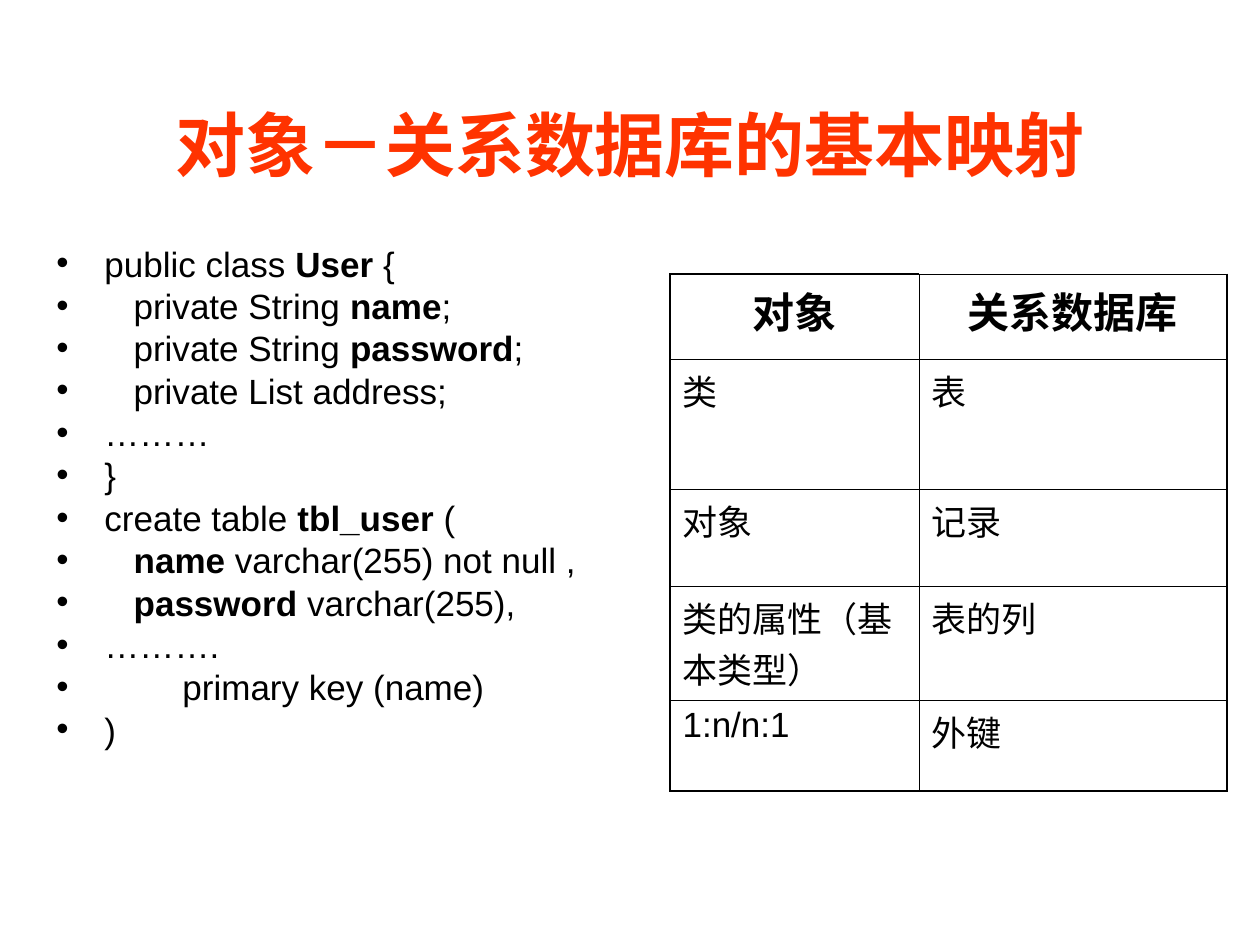
from lxml.etree import SubElement
from pptx import Presentation
from pptx.dml.color import RGBColor
from pptx.enum.text import MSO_ANCHOR as Anchor, PP_ALIGN as Align
from pptx.oxml import parse_xml
from pptx.oxml.ns import nsdecls, qn
from pptx.util import Emu, Pt

EMU_PER_PX = 914400 // 126
BLACK = "000000"
TITLE_RED = "FF3300"
THIN, THICK = 0.45, 1.08

CODE_LINES = [
    "public class **User** {",
    "   private String **name**;",
    "   private String **password**;",
    "   private List address;",
    "………",
    "}",
    "create table **tbl_user** (",
    "   **name** varchar(255) not null ,",
    "   **password** varchar(255),",
    "……….",
    "\tprimary key (name)",
    ")",
]
MAPPING = [
    ("对象", "关系数据库"),
    ("类", "表"),
    ("对象", "记录"),
    ("类的属性（基本类型）", "表的列"),
    ("1:n/n:1", "外键"),
]
COLUMN_WIDTHS = [249, 308]
ROW_HEIGHTS = [85, 130, 97, 114, 91]


def px(length):
    return Emu(length * EMU_PER_PX)


def color(hex_string):
    return RGBColor.from_string(hex_string)


def format_run(run, size, hex_string=BLACK, bold=False):
    run.font.name = "Arial"
    run.font.size = Pt(size)
    run.font.bold = bold
    run.font.color.rgb = color(hex_string)


def add_text_frame(slide, box):
    text_frame = slide.shapes.add_textbox(*map(px, box)).text_frame
    text_frame.word_wrap = True
    return text_frame


def add_title(slide, box, text):
    text_frame = add_text_frame(slide, box)
    text_frame.vertical_anchor = Anchor.MIDDLE
    text_frame.text = text
    paragraph = text_frame.paragraphs[0]
    paragraph.alignment = Align.CENTER
    format_run(paragraph.runs[0], 40, TITLE_RED, True)


def set_bullet_and_tab(paragraph, indent, tab):
    properties = paragraph._p.get_or_add_pPr()
    properties.set("marL", str(px(indent)))
    properties.set("indent", str(-px(indent)))
    SubElement(properties, qn("a:buFont"), typeface="Arial")
    SubElement(properties, qn("a:buChar"), char="•")
    tabs = SubElement(properties, qn("a:tabLst"))
    SubElement(tabs, qn("a:tab"), pos=str(px(tab)), algn="l")


def add_code_list(slide, box, lines):
    text_frame = add_text_frame(slide, box)
    for index, line in enumerate(lines):
        paragraph = text_frame.add_paragraph() if index else text_frame.paragraphs[0]
        set_bullet_and_tab(paragraph, 48, 126)
        paragraph.line_spacing = 0.8
        if index:
            paragraph.space_before = Pt(5)
        for part, text in enumerate(line.split("**")):
            if text:
                run = paragraph.add_run()
                run.text = text
                format_run(run, 20, bold=part % 2 == 1)


def set_borders(cell, widths):
    properties = cell._tc.get_or_add_tcPr()
    for index, (side, width) in enumerate(zip("LRTB", widths)):
        properties.insert(index, parse_xml(
            f'<a:ln{side} {nsdecls("a")} w="{Pt(width)}"><a:solidFill>'
            f'<a:srgbClr val="{BLACK}"/></a:solidFill></a:ln{side}>'))


def add_mapping_table(slide, box, rows):
    last_row, last_column = len(rows) - 1, len(COLUMN_WIDTHS) - 1
    table = slide.shapes.add_table(len(rows), len(COLUMN_WIDTHS), *map(px, box)).table
    table.first_row = table.horz_banding = False
    for column, width in zip(table.columns, COLUMN_WIDTHS):
        column.width = px(width)
    for row, height in zip(table.rows, ROW_HEIGHTS):
        row.height = px(height)
    for r, texts in enumerate(rows):
        header = r == 0
        for c, text in enumerate(texts):
            cell = table.cell(r, c)
            cell.fill.background()
            cell.text = text
            paragraph = cell.text_frame.paragraphs[0]
            paragraph.alignment = Align.CENTER if header else Align.LEFT
            format_run(paragraph.runs[0], 24 if header else 20, bold=header)
            outer = (c == 0, c == last_column, header and c == 0, r == last_row)
            set_borders(cell, [THICK if edge else THIN for edge in outer])


def main():
    presentation = Presentation()
    presentation.slide_width, presentation.slide_height = px(1260), px(945)
    slide = presentation.slides.add_slide(presentation.slide_layouts[6])
    add_title(slide, (63, 94, 1134, 99), "对象－关系数据库的基本映射")
    add_code_list(slide, (44, 244, 586, 624), CODE_LINES)
    add_mapping_table(slide, (670, 274, sum(COLUMN_WIDTHS), sum(ROW_HEIGHTS)), MAPPING)
    presentation.save("out.pptx")


if __name__ == "__main__":
    main()
